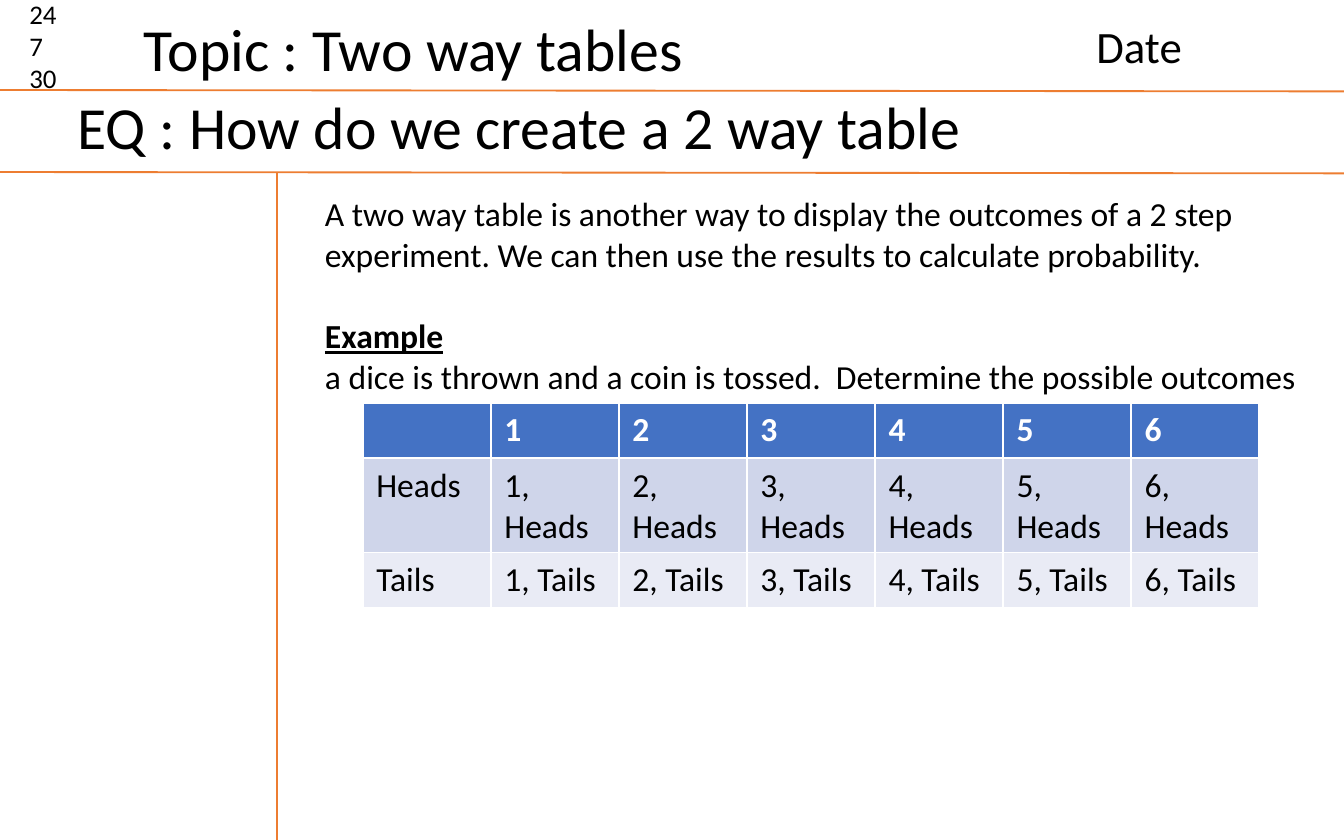
from lxml import etree
from pptx import Presentation
from pptx.dml.color import RGBColor
from pptx.enum.shapes import MSO_CONNECTOR
from pptx.enum.text import MSO_ANCHOR, MSO_AUTO_SIZE, PP_ALIGN
from pptx.oxml.ns import qn
from pptx.util import Inches, Pt

STRAIGHT = MSO_CONNECTOR.STRAIGHT
TOP, BOTTOM = MSO_ANCHOR.TOP, MSO_ANCHOR.BOTTOM
NO_AUTOFIT = MSO_AUTO_SIZE.NONE
LEFT = PP_ALIGN.LEFT

FONT = "Calibri"
BLACK, WHITE, ORANGE = "000000", "FFFFFF", "ED7D31"
ROW_FILLS = ["4472C4", "CFD5EA", "E9EBF5"]

TOPIC = "Topic : Two way tables"
TOPIC_BOX = (0.97, 0.11, 7.5, 0.57)
QUESTION = "EQ : How do we create a 2 way table"
QUESTION_BOX = (0.48, 0.69, 7.5, 0.57)
NUMBERS = ["24", "7", "30"]
NUMBERS_BOX = (0.12, -0.07, 0.48, 0.83)
DATE_BOX = (8.06, 0.09, 1.56, 0.5)
NOTES = [
    "A two way table is another way to display the outcomes of a 2 step "
    "experiment. We can then use the results to calculate probability.",
    "Example",
    "a dice is thrown and a coin is tossed.  Determine the possible outcomes",
]
NOTES_BOX = (2.32, 1.39, 8.04, 3.43)
RULES = [(0, 0.67, 10, 0.68), (0, 1.28, 10, 1.29), (2.06, 1.29, 2.06, 6.25)]

DICE = ["1", "2", "3", "4", "5", "6"]
COIN = ["Heads", "Tails"]
OUTCOMES = [[""] + DICE] + [
    [side] + [f"{number}, {side}" for number in DICE] for side in COIN
]
TABLE_LEFT, TABLE_TOP, TABLE_WIDTH, ROW_HEIGHT = 2.7, 3, 6.67, 0.41


def color(value):
    return RGBColor.from_string(value)


def write(paragraph, text, size, value=BLACK, bold=False, underline=False):
    run = paragraph.add_run()
    run.text = text
    run.font.name = FONT
    run.font.size = Pt(size)
    run.font.bold = bold
    run.font.underline = underline
    run.font.color.rgb = color(value)


def add_text(slide, box, lines, size):
    shape = slide.shapes.add_textbox(*map(Inches, box))
    frame = shape.text_frame
    frame.word_wrap = True
    frame.vertical_anchor = TOP
    for index, line in enumerate(lines):
        paragraph = frame.add_paragraph() if index else frame.paragraphs[0]
        write(paragraph, line, size)
    return frame


def format_heading(frame):
    frame.vertical_anchor = BOTTOM
    frame.auto_size = NO_AUTOFIT
    frame.paragraphs[0].alignment = LEFT
    frame.paragraphs[0].line_spacing = 0.9


def add_rule(slide, ends):
    rule = slide.shapes.add_connector(STRAIGHT, *map(Inches, ends))
    rule.line.color.rgb = color(ORANGE)
    rule.line.width = Pt(1)
    etree.SubElement(rule._element.spPr, qn("a:effectLst"))


def add_outcomes(slide):
    rows, columns = len(OUTCOMES), len(OUTCOMES[0])
    table = slide.shapes.add_table(
        rows, columns, Inches(TABLE_LEFT), Inches(TABLE_TOP),
        Inches(TABLE_WIDTH), Inches(ROW_HEIGHT * rows),
    ).table
    for row, (texts, fill) in enumerate(zip(OUTCOMES, ROW_FILLS)):
        header = row == 0
        for column, text in enumerate(texts):
            cell = table.cell(row, column)
            cell.fill.solid()
            cell.fill.fore_color.rgb = color(fill)
            if text:
                write(cell.text_frame.paragraphs[0], text, 18,
                      WHITE if header else BLACK, bold=header)


def main():
    presentation = Presentation()
    presentation.slide_width = Inches(10)
    presentation.slide_height = Inches(6.25)
    slide = presentation.slides.add_slide(presentation.slide_layouts[5])

    title = slide.shapes.title
    title.left, title.top, title.width, title.height = map(Inches, TOPIC_BOX)
    write(title.text_frame.paragraphs[0], TOPIC, 32)
    format_heading(title.text_frame)

    for ends in RULES:
        add_rule(slide, ends)

    format_heading(add_text(slide, QUESTION_BOX, [QUESTION], 32))
    add_text(slide, NUMBERS_BOX, NUMBERS, 14.4)
    add_text(slide, DATE_BOX, ["Date"], 24)

    notes = add_text(slide, NOTES_BOX, NOTES, 18)
    example = notes.paragraphs[1]
    example.space_before = Pt(22)
    example.runs[0].font.bold = True
    example.runs[0].font.underline = True

    add_outcomes(slide)
    presentation.save("out.pptx")


if __name__ == "__main__":
    main()
